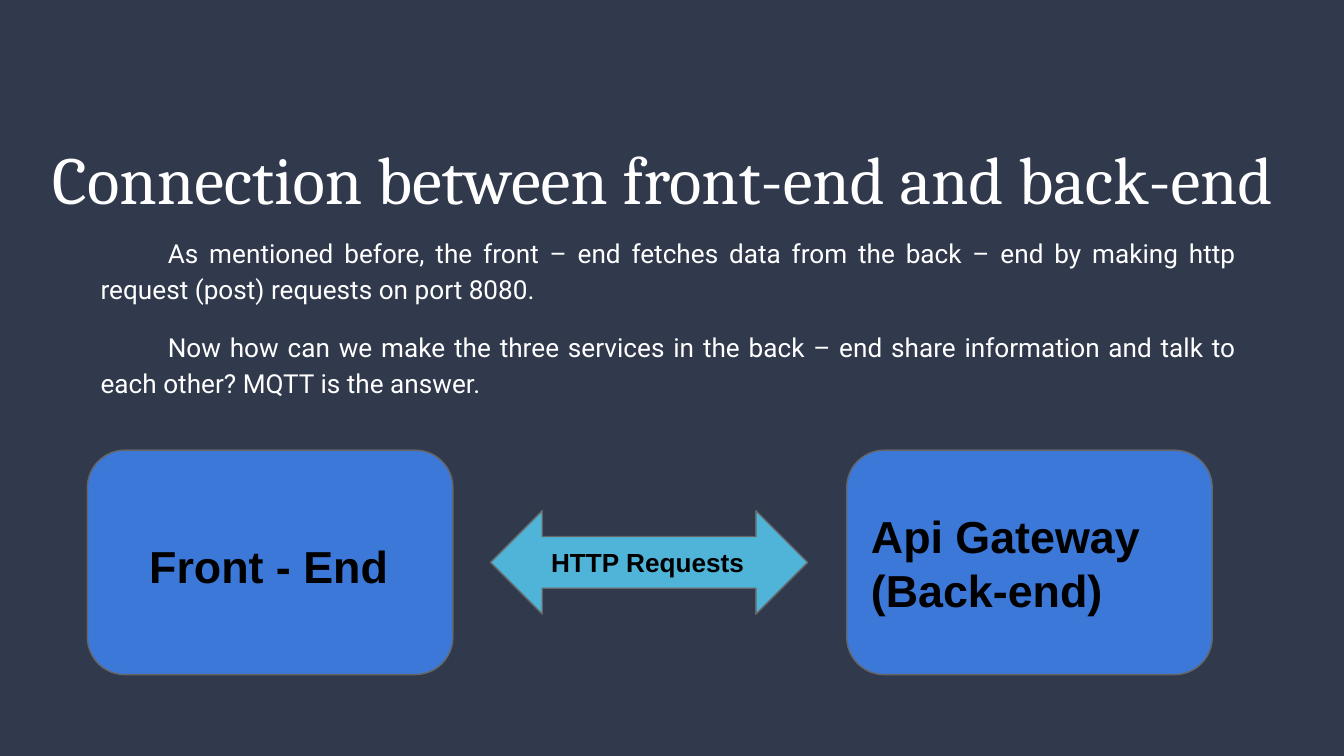
from pptx import Presentation
from pptx.dml.color import RGBColor
from pptx.enum.shapes import MSO_SHAPE
from pptx.enum.text import MSO_ANCHOR, PP_ALIGN
from pptx.util import Inches, Pt

ROUNDED, ARROW = MSO_SHAPE.ROUNDED_RECTANGLE, MSO_SHAPE.LEFT_RIGHT_ARROW
TOP, MIDDLE, BOTTOM = MSO_ANCHOR.TOP, MSO_ANCHOR.MIDDLE, MSO_ANCHOR.BOTTOM
LEFT, JUSTIFY = PP_ALIGN.LEFT, PP_ALIGN.JUSTIFY

NAVY = RGBColor(0x31, 0x39, 0x4D)
WHITE = RGBColor(0xFF, 0xFF, 0xFF)
BLACK = RGBColor(0x00, 0x00, 0x00)
BLUE = RGBColor(0x3C, 0x78, 0xD8)
CYAN = RGBColor(0x4F, 0xB4, 0xD8)
GREY = RGBColor(0x66, 0x66, 0x66)

# Content
TITLE = "Connection between front-end and back-end"
BODY = [
    "As mentioned before, the front – end fetches data from the back – end "
    "by making http request (post) requests on port 8080.",
    "Now how can we make the three services in the back – end share "
    "information and talk to each other? MQTT is the answer.",
]
# preset, left, top, width, height, fill, text, size, text indent, top inset
DIAGRAM = [
    (ROUNDED, 0.65, 3.35, 2.72, 1.67, BLUE, "Front - End", 24, 0.28, 0.15),
    (ROUNDED, 6.3, 3.35, 2.72, 1.67, BLUE, "Api Gateway (Back-end)", 24, 0, 0.1),
    (ARROW, 3.65, 3.8, 2.36, 0.77, CYAN, "HTTP Requests", 14, 0.16, 0.1),
]


def write(shape, texts, font, size, color, anchor, align=LEFT, bold=False, top=0.1):
    """Fill a shape with one paragraph per text and return the paragraphs."""
    frame = shape.text_frame
    frame.word_wrap = True
    frame.vertical_anchor = anchor
    frame.margin_left = frame.margin_right = frame.margin_bottom = Inches(0.1)
    frame.margin_top = Inches(top)
    for index, text in enumerate(texts):
        para = frame.add_paragraph() if index else frame.paragraphs[0]
        para.alignment = align
        span = para.add_run()
        span.text = text
        span.font.name = font
        span.font.size = Pt(size)
        span.font.bold = bold
        span.font.color.rgb = color
    return frame.paragraphs


# Widescreen page, 16:9
deck = Presentation()
deck.slide_width = Inches(10)
deck.slide_height = Inches(10 * 9 / 16)
page = deck.slides.add_slide(deck.slide_layouts[6])
page.background.fill.solid()
page.background.fill.fore_color.rgb = NAVY

# Title
box = page.shapes.add_textbox(Inches(0.29), Inches(0.36), Inches(9.43), Inches(1.36))
write(box, [TITLE], "Cambria", 36, WHITE, BOTTOM)

# Body text with first-line indents
box = page.shapes.add_textbox(Inches(0.65), Inches(1.63), Inches(8.65), Inches(3.28))
for para in write(box, BODY, "Roboto", 14, WHITE, TOP, JUSTIFY):
    para.line_spacing = 1.15
    para.space_before = Pt(12)
    para._p.get_or_add_pPr().set("indent", str(Inches(0.5)))

# Diagram: two ends and the arrow between them
for preset, left, top, width, height, fill, text, size, indent, inset in DIAGRAM:
    shape = page.shapes.add_shape(
        preset, Inches(left), Inches(top), Inches(width), Inches(height))
    shape.shadow.inherit = False
    shape.fill.solid()
    shape.fill.fore_color.rgb = fill
    shape.line.color.rgb = GREY
    shape.line.width = Pt(0.75)
    for para in write(shape, [text], "Arial", size, BLACK, MIDDLE, bold=True, top=inset):
        para._p.get_or_add_pPr().set("marL", str(Inches(indent)))

deck.save("out.pptx")
